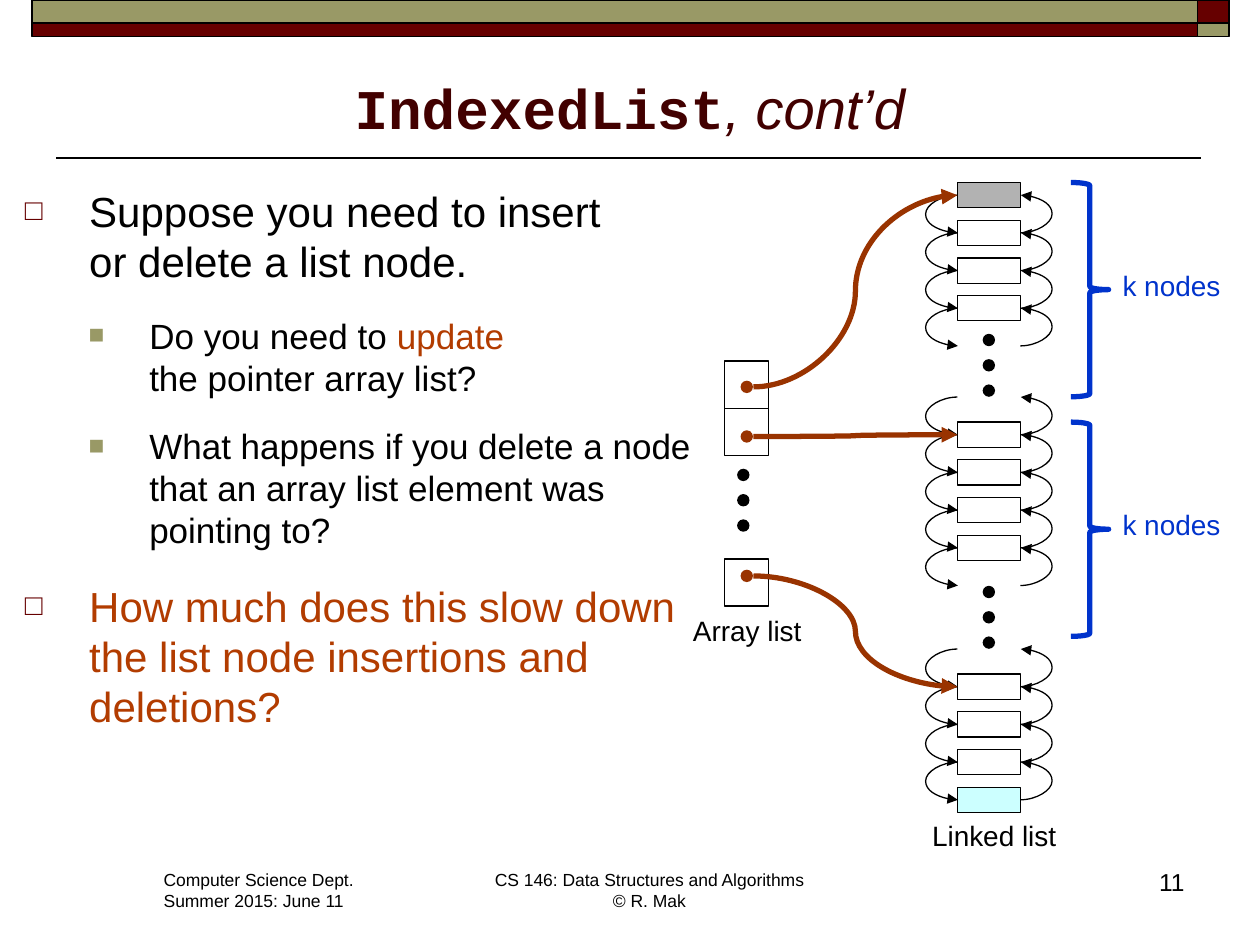
from lxml.etree import SubElement
from pptx import Presentation
from pptx.dml.color import RGBColor
from pptx.enum.shapes import MSO_CONNECTOR as Link, MSO_SHAPE as Shape
from pptx.enum.text import MSO_ANCHOR as Anchor, PP_ALIGN as Align
from pptx.oxml.ns import qn
from pptx.util import Cm, Pt

COLORS = {
    "black": "000000", "white": "FFFFFF", "maroon": "660000", "olive": "999966",
    "title": "420000", "accent": "B23C00", "pointer": "993300", "brace": "0033CC",
    "head": "B2B2B2", "last": "CCFFFF",
}
NODE_WIDTH, NODE_HEIGHT, NODE_PITCH = 1.27, 0.51, 0.76
DOT, DOT_PITCH = 0.25, 0.51


def color(name):
    """Return the named colour."""
    return RGBColor.from_string(COLORS[name])


def add_box(page, kind, left, top, width, height, fill=None, line=None, weight=0.75):
    """Add a preset shape with an optional fill and outline."""
    box = page.shapes.add_shape(kind, Cm(left), Cm(top), Cm(width), Cm(height))
    box.shadow.inherit = False
    for part, name in ((box.fill, fill), (box.line.fill, line)):
        if name:
            part.solid()
            part.fore_color.rgb = color(name)
        else:
            part.background()
    if line:
        box.line.width = Pt(weight)
    return box


def add_link(page, kind, start, end, name="black", weight=0.75, arrow=True, bend=None):
    """Add a connector; bend is the bulge as a multiple of its width."""
    link = page.shapes.add_connector(kind, *(Cm(v) for v in (*start, *end)))
    link.line.color.rgb = color(name)
    link.line.width = Pt(weight)
    props = link._element.spPr
    if arrow:
        SubElement(props.find(qn("a:ln")), qn("a:tailEnd"), type="triangle")
    SubElement(props, qn("a:effectLst"))
    if bend is not None:
        guides = props.find(qn("a:prstGeom")).get_or_add_avLst()
        SubElement(guides, qn("a:gd"), name="adj1", fmla=f"val {round(bend * 100000)}")


def add_spans(para, spans):
    """Fill a paragraph with (text, format) spans; a newline is a line break."""
    for text, look in spans:
        for number, piece in enumerate(text.split("\n")):
            if number:
                para.add_line_break()
            if not piece:
                continue
            span = para.add_run()
            span.text = piece
            values = {"name": "Arial", "size": 16, "color": "black", **look}
            span.font.color.rgb = color(values.pop("color"))
            values["size"] = Pt(values["size"])
            for key, value in values.items():
                setattr(span.font, key, value)


def add_text(page, box, paras, align=Align.LEFT, wrap=True, anchor=Anchor.TOP):
    """Add a text box with one list of spans for each paragraph."""
    frame = page.shapes.add_textbox(*(Cm(v) for v in box)).text_frame
    frame.word_wrap = wrap
    frame.vertical_anchor = anchor
    for number, spans in enumerate(paras):
        para = frame.add_paragraph() if number else frame.paragraphs[0]
        para.alignment = align
        add_spans(para, spans)
    return frame


def add_header(page, left, top):
    """Draw the two-tone band and the rule under the title."""
    wide, narrow, tall, short = 23.5, 0.64, 0.46, 0.28
    for x, width, names in ((0, wide, ("olive", "maroon")),
                            (wide, narrow, ("maroon", "olive"))):
        for y, height, name in zip((0, tall), (tall, short), names):
            add_box(page, Shape.RECTANGLE, left + x, top + y, width, height, name, "black", 1)
    add_link(page, Link.STRAIGHT, (left + 23.57, top + 3.18), (left + 0.48, top + 3.18),
             weight=1, arrow=False)


def add_title(page, box):
    """Write the slide title."""
    look = {"size": 32, "color": "title"}
    add_text(page, box, [[
        ("IndexedList", {**look, "name": "Courier New", "bold": True}),
        (", cont’d", {**look, "italic": True}),
    ]], Align.CENTER, anchor=Anchor.BOTTOM)


def add_body(page, box):
    """Write the bulleted questions on two levels."""
    main, sub = {"size": 24}, {"size": 20}
    levels = [(1.3, -1.3, "□", "maroon", "70000"), (2.51, -1.22, "■", "olive", "75000")]
    items = [
        (0, 5, [("Suppose you need to insert \nor delete a list node.", main)]),
        (1, 16, [("Do you need to ", sub), ("update \n", {**sub, "color": "accent"}),
                 ("the pointer array list?", sub)]),
        (1, 15, [("What happens if you delete a node that an array list "
                  "element was pointing to?", sub)]),
        (0, 17, [("How much does this slow down the list node insertions and deletions?",
                  {**main, "color": "accent"})]),
    ]
    frame = add_text(page, box, [spans for _, _, spans in items])
    for para, (level, gap, _) in zip(frame.paragraphs, items):
        margin, indent, mark, name, size = levels[level]
        para.level = level
        para.space_before = Pt(gap)
        props = para._p.get_or_add_pPr()
        props.set("marL", str(Cm(margin)))
        props.set("indent", str(Cm(indent)))
        SubElement(SubElement(props, qn("a:buClr")), qn("a:srgbClr"), val=COLORS[name])
        SubElement(props, qn("a:buSzPct"), val=size)
        SubElement(props, qn("a:buFont"), typeface="Arial")
        SubElement(props, qn("a:buChar"), char=mark)


def add_dots(page, left, top):
    """Draw three dots that stand for omitted items."""
    for number in range(3):
        add_box(page, Shape.OVAL, left, top + number * DOT_PITCH, DOT, DOT, "black")


def add_nodes(page, left, top, fills, steps):
    """Draw four list nodes and the arcs both ways at the given steps."""
    for number, fill in enumerate(fills):
        add_box(page, Shape.RECTANGLE, left, top + number * NODE_PITCH,
                NODE_WIDTH, NODE_HEIGHT, fill, "black")
    thin, bulge = 0.01, 0.64
    right = left + NODE_WIDTH
    for step in steps:
        upper = top + NODE_HEIGHT / 2 + step * NODE_PITCH
        lower = upper + NODE_PITCH
        add_link(page, Link.CURVE, (left, upper), (left + thin, lower), bend=-bulge / thin)
        add_link(page, Link.CURVE, (right, lower), (right + thin, upper), bend=bulge / thin)


def add_label(page, left, top, width, text, name="black"):
    """Write a one-line label."""
    add_text(page, (left, top, width, 0.94), [[(text, {"color": name})]], wrap=False)


def add_diagram(page, left, top):
    """Draw the array list, the linked list and the pointers between them."""
    nodes_left = left + 5.58
    plain = ["white"] * 4
    groups = [
        (0, ["head"] + plain[1:], range(4)),
        (4.83, plain, range(-1, 4)),
        (9.91, plain[1:] + ["last"], range(-1, 3)),
    ]
    cells = [(3.6, 4.12), (4.55, 5.12), (7.59, 7.93)]
    for (y, fills, steps), (cell, pointer) in zip(groups, cells):
        add_nodes(page, nodes_left, top + y, fills, steps)
        add_box(page, Shape.RECTANGLE, left + 0.89, top + cell, 0.89, 0.95, line="black")
        add_box(page, Shape.OVAL, left + 1.21, top + pointer - DOT / 2, DOT, DOT, "pointer")
        add_link(page, Link.CURVE, (left + 1.47, top + pointer),
                 (nodes_left, top + y + NODE_HEIGHT / 2), "pointer", 3)
    for x, y in ((6.09, 3.05), (6.09, 8.13), (1.14, 5.77)):
        add_dots(page, left + x, top + y)
    for y, _, _ in groups[:2]:
        add_box(page, Shape.RIGHT_BRACE, left + 7.87, top + y, 0.76, 4.32, line="brace", weight=3)
        add_label(page, left + 8.66, top + y + 1.6, 2.51, "k nodes", "brace")
    add_label(page, left, top + 8.56, 2.72, "Array list")
    add_label(page, left + 4.82, top + 12.7, 3.02, "Linked list")


def add_footer(page, left, top):
    """Write the department, the course and the slide number."""
    small = {"size": 10}
    add_text(page, (left, top, 4.39, 1.12),
             [[("Computer Science Dept.", small)], [("Summer 2015: June 11", small)]], wrap=False)
    add_text(page, (left + 6.65, top, 6.78, 1.12),
             [[("CS 146: Data Structures and Algorithms\n© R. Mak", small)]],
             Align.CENTER, wrap=False)
    add_text(page, (left + 15.8, top - 0.05, 5.28, 1.27), [[("11", {"size": 14})]], Align.RIGHT)


deck = Presentation()
deck.slide_width, deck.slide_height = Cm(25.4), Cm(19.05)
page = deck.slides.add_slide(deck.slide_layouts[6])
add_header(page, 0.64, 0)
add_footer(page, 3.05, 17.4)
add_title(page, (1.27, 1.14, 22.86, 1.83))
add_body(page, (0.25, 3.61, 13.97, 13.54))
add_diagram(page, 13.72, 3.68)
deck.save("out.pptx")
